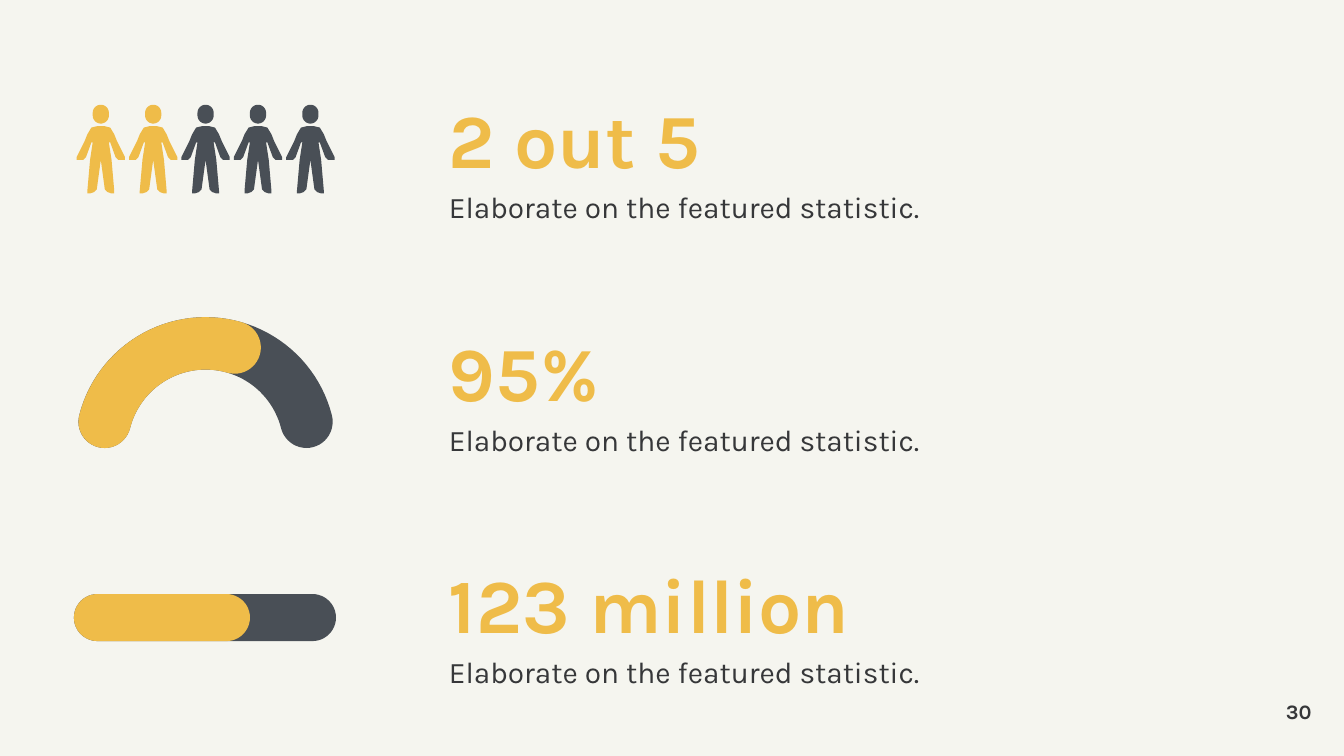
from math import cos, radians, sin

from pptx import Presentation
from pptx.dml.color import RGBColor
from pptx.enum.shapes import MSO_SHAPE
from pptx.enum.text import MSO_ANCHOR, MSO_AUTO_SIZE, PP_ALIGN
from pptx.util import Inches, Pt

PAPER = RGBColor(0xF5, 0xF5, 0xEF)
GOLD = RGBColor(0xEF, 0xBC, 0x49)
SLATE = RGBColor(0x49, 0x4F, 0x56)
INK = RGBColor(0x36, 0x37, 0x39)

BIG = {"size": Pt(41), "bold": True, "color": GOLD}
SMALL = {"size": Pt(16), "bold": False, "color": INK}
NUMBER = {"size": Pt(11), "bold": True, "color": INK}

# Right half of a body: distance from its axis, height on the slide
BODY = [(0.03, 0.94), (0.07, 0.95), (0.1, 1), (0.12, 1.05), (0.18, 1.17),
        (0.18, 1.19), (0.15, 1.19), (0.13, 1.19), (0.11, 1.17), (0.07, 1.06),
        (0.06, 1.06), (0.08, 1.19), (0.1, 1.42), (0.1, 1.44), (0.08, 1.44),
        (0.05, 1.43), (0.03, 1.41), (0, 1.19)]


def add_text(slide, box, text, style, spacing=None):
    shape = slide.shapes.add_textbox(*map(Inches, box))
    frame = shape.text_frame
    margins = ("margin_left", "margin_top", "margin_right", "margin_bottom")
    for name in margins:
        setattr(frame, name, 0)
    frame.word_wrap = True
    para = frame.paragraphs[0]
    para.line_spacing = spacing
    run = para.add_run()
    run.text = text
    run.font.name = "Karla"
    for name, value in style.items():
        if name == "color":
            run.font.color.rgb = value
        else:
            setattr(run.font, name, value)
    return frame


def paint(shape, color):
    shape.shadow.inherit = False
    shape.fill.solid()
    shape.fill.fore_color.rgb = color
    shape.line.fill.background()


def add_outline(group, loops, color):
    """Draw closed loops of points, in inches, as one filled shape."""
    pen = None
    for loop in loops:
        first, *rest = [(Inches(x), Inches(y)) for x, y in loop]
        if pen is None:
            pen = group.shapes.build_freeform(*first)
        else:
            pen.move_to(*first)
        pen.add_line_segments(rest, close=True)
    paint(pen.convert_to_shape(), color)


def arc(x, y, radius, start, end, steps=24):
    """Points on a circle; degrees run anticlockwise from the right."""
    angles = [radians(start + (end - start) * i / steps)
              for i in range(steps + 1)]
    return [(x + radius * cos(a), y - radius * sin(a)) for a in angles]


def person(x):
    head = arc(x, 0.84, 0.06, 180, 0) + arc(x, 0.86, 0.06, 0, -180)
    right = [(x + dx, y) for dx, y in BODY]
    left = [(x - dx, y) for dx, y in reversed(BODY[:-1])]
    return [head, right + left]


def add_people(slide, total, marked):
    group = slide.shapes.add_group_shape()
    people = [person(0.75 + 0.39 * i) for i in range(total)]
    for part, color in ((people[:marked], GOLD), (people[marked:], SLATE)):
        add_outline(group, [loop for one in part for loop in one], color)


def add_gauge(slide):
    group = slide.shapes.add_group_shape()
    x, y, outer, inner, start = 1.53, 3.33, 0.97, 0.58, 165.7
    middle, cap = (outer + inner) / 2, (outer - inner) / 2

    def tip(angle, turn):
        at = arc(x, y, middle, angle, angle, 1)[0]
        return arc(*at, cap, turn, turn - 180)

    for end, color in ((180 - start, SLATE), (73.8, GOLD)):
        band = (arc(x, y, outer, start, end, 48) + tip(end, end)
                + arc(x, y, inner, end, start, 48) + tip(start, start + 180))
        add_outline(group, [band], color)


def add_bar(slide):
    group = slide.shapes.add_group_shape()
    for width, color in ((1.95, SLATE), (1.31, GOLD)):
        box = map(Inches, (0.55, 4.42, width, 0.35))
        bar = group.shapes.add_shape(MSO_SHAPE.ROUNDED_RECTANGLE, *box)
        bar.adjustments[0] = 0.5
        paint(bar, color)


def add_stat(slide, top, value):
    note = "Elaborate on the featured statistic."
    for y, height, text, style, spacing in (
            (top, 0.69, value, BIG, 1.2),
            (top + 0.75, 0.27, note, SMALL, 1.4)):
        frame = add_text(slide, (3.34, y, 4.97, height), text, style, spacing)
        frame.auto_size = MSO_AUTO_SIZE.SHAPE_TO_FIT_TEXT


def main():
    deck = Presentation()
    deck.slide_width = Inches(10)
    deck.slide_height = Inches(10) * 9 // 16
    slide = deck.slides.add_slide(deck.slide_layouts[6])
    slide.background.fill.solid()
    slide.background.fill.fore_color.rgb = PAPER

    for i, value in enumerate(("2 out 5", "95%", "123 million")):
        add_stat(slide, 0.55 + 1.73 * i, value)
    add_gauge(slide)
    add_bar(slide)
    add_people(slide, 5, 2)

    frame = add_text(slide, (9.16, 5.19, 0.6, 0.2), "30", NUMBER)
    frame.vertical_anchor = MSO_ANCHOR.MIDDLE
    frame.paragraphs[0].alignment = PP_ALIGN.RIGHT
    deck.save("out.pptx")


if __name__ == "__main__":
    main()
